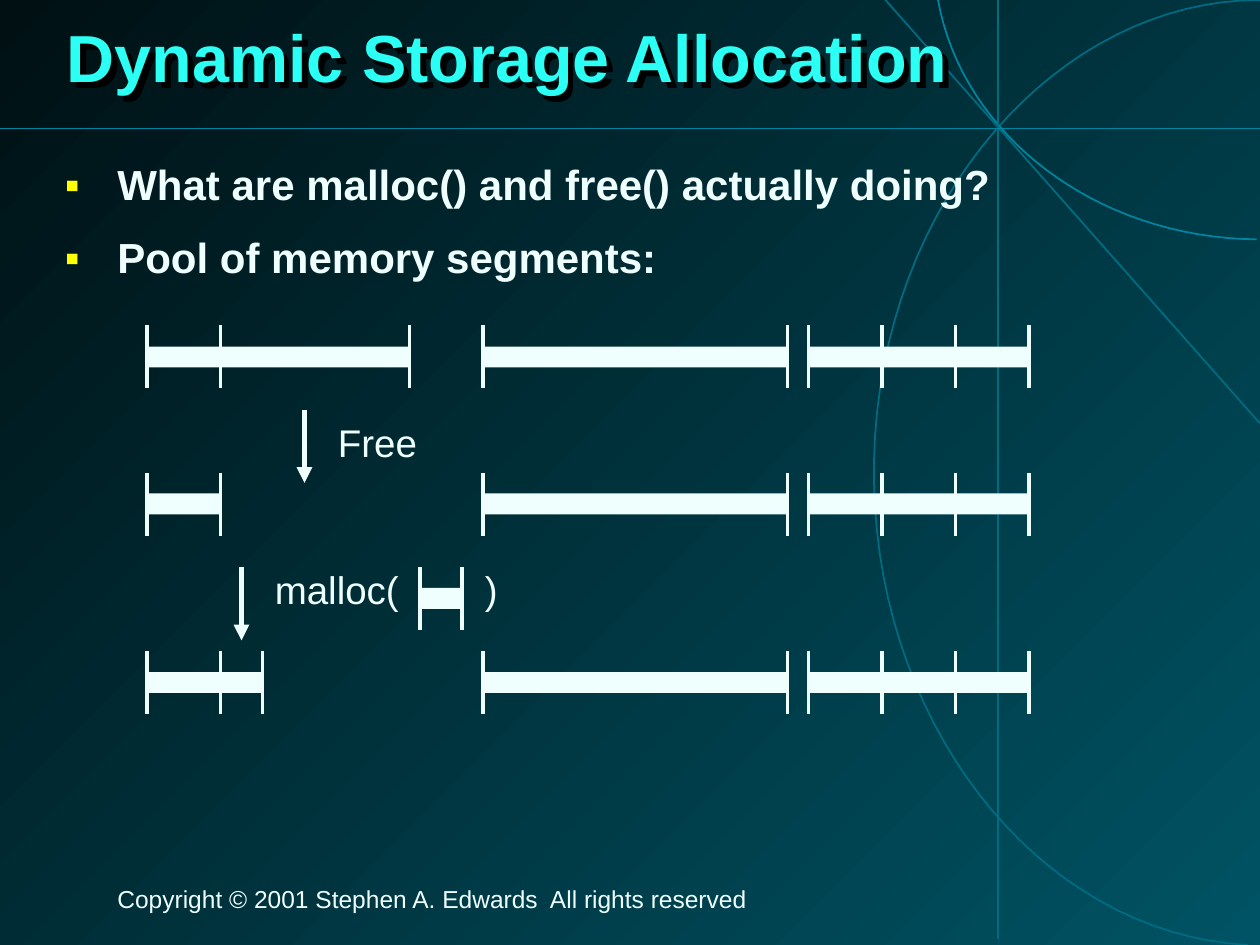
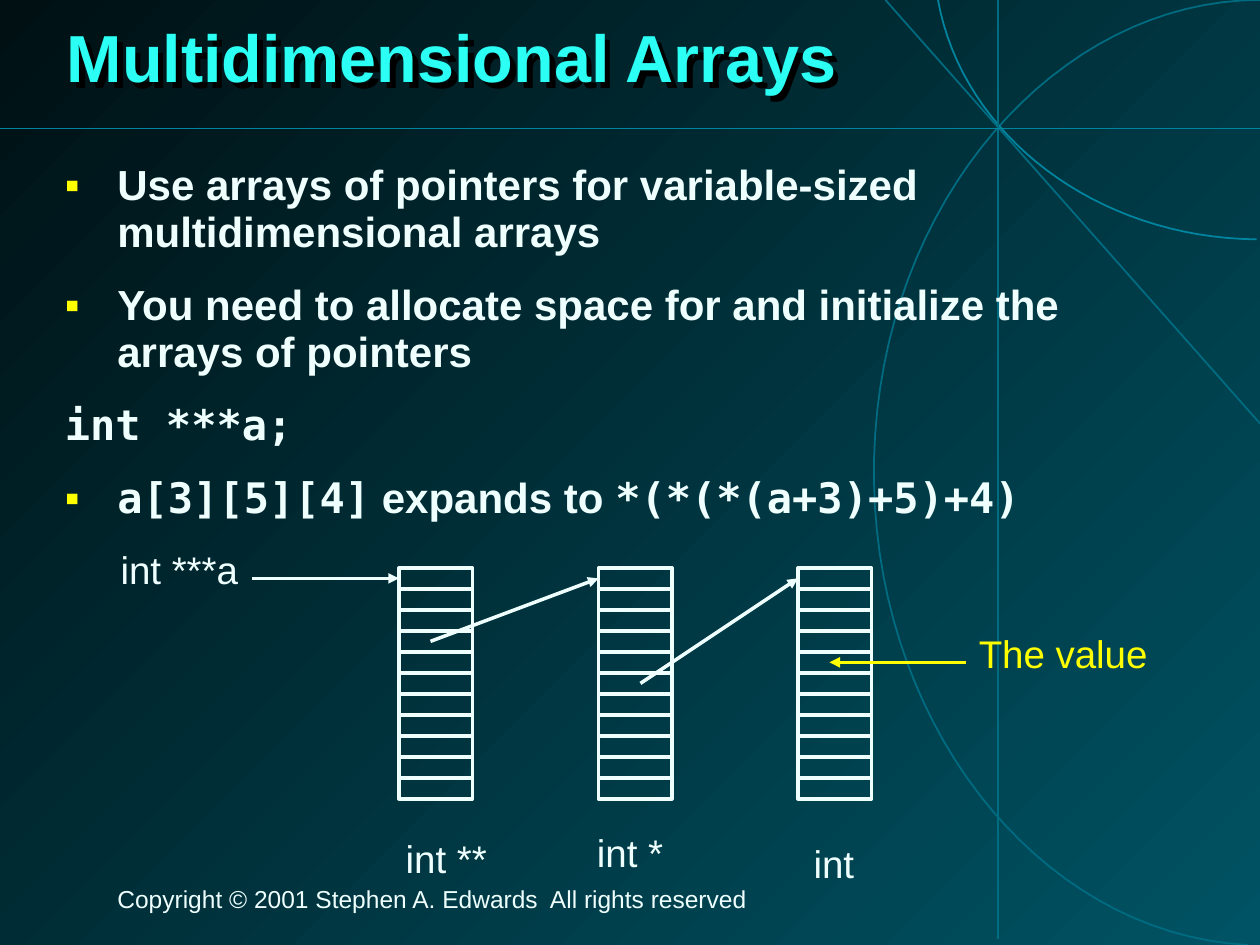
from dataclasses import dataclass
from itertools import pairwise
from typing import Iterable

from lxml.etree import SubElement
from pptx import Presentation
from pptx.dml.color import RGBColor as Rgb
from pptx.enum.shapes import MSO_CONNECTOR as Conn, MSO_SHAPE as Kind
from pptx.enum.text import MSO_ANCHOR as Anchor, MSO_AUTO_SIZE as Auto, PP_ALIGN as Align
from pptx.oxml.ns import qn
from pptx.util import Pt

COLORS = {
    "text": "EFFFFD", "title": "2CFFF3", "accent": "FFFF00", "shadow": "000000",
    "dim": "006C82", "bright": "0085A0", "near": "005364", "far": "001013",
}
SANS, MONO = "Arial", "DejaVu Sans Mono"
WIDTH, HEIGHT = 720, 540
Point = tuple[float, float]


@dataclass
class Box:
    left: float
    top: float
    width: float
    height: float

    def lengths(self) -> list[Pt]:
        return [Pt(v) for v in (self.left, self.top, self.width, self.height)]


@dataclass
class Run:
    text: str
    font: str = SANS


@dataclass
class Para:
    runs: list[Run]
    bullet: bool = True


@dataclass
class Label:
    text: str
    box: Box
    color: str = "text"


@dataclass
class Arrow:
    start: Point
    end: Point
    color: str = "text"
    weight: float = 2


@dataclass
class Curve:
    """A chain of cubic Bezier arcs: one start, then three points an arc."""
    points: list[Point]
    color: str


CURVES = [
    Curve([(713, 540), (592, 533.5), (496, 409.7), (499.5, 262),
           (503, 114.5), (604.8, 0), (720, 0)], "dim"),
    Curve([(718, 136.8), (627, 136), (550, 77.8), (536, 0)], "bright"),
]
RAYS = [
    Arrow((720, 242), (506, 0), "dim", 1),
    Arrow((570.5, 0), (570.5, 536.5), "dim", 1),
    Arrow((0, 73.5), (720, 73.5), "bright", 1),
]


def rgb(name: str) -> Rgb:
    return Rgb.from_string(COLORS[name])


def add_line(slide, line: Arrow, head: bool = False) -> None:
    ends = [Pt(v) for v in (*line.start, *line.end)]
    conn = slide.shapes.add_connector(Conn.STRAIGHT, *ends)
    conn.line.color.rgb = rgb(line.color)
    conn.line.width = Pt(line.weight)
    if head:
        SubElement(conn.line._get_or_add_ln(), qn("a:tailEnd"), type="triangle")
    SubElement(conn._element.spPr, qn("a:effectLst"))


def add_rect(slide, box: Box, filled: bool) -> None:
    rect = slide.shapes.add_shape(Kind.RECTANGLE, *box.lengths())
    rect.shadow.inherit = False
    if filled:
        rect.fill.solid()
        rect.fill.fore_color.rgb = rgb("text")
        rect.line.fill.background()
    else:
        rect.fill.background()
        rect.line.color.rgb = rgb("text")
        rect.line.width = Pt(2)


def add_curve(slide, curve: Curve, steps: int = 32) -> None:
    pts = curve.points
    path = [pts[0]]
    for i in range(0, len(pts) - 1, 3):
        arc = pts[i:i + 4]
        for k in range(1, steps + 1):
            t = k / steps
            mix = ((1 - t) ** 3, 3 * t * (1 - t) ** 2, 3 * t * t * (1 - t), t ** 3)
            path.append((sum(m * p[0] for m, p in zip(mix, arc)),
                         sum(m * p[1] for m, p in zip(mix, arc))))
    dots = [(Pt(x), Pt(y)) for x, y in path]
    form = slide.shapes.build_freeform(*dots[0])
    form.add_line_segments(dots[1:], close=False)
    shape = form.convert_to_shape()
    shape.shadow.inherit = False
    shape.fill.background()
    shape.line.color.rgb = rgb(curve.color)
    shape.line.width = Pt(1)


def add_bullet(props) -> None:
    tint = SubElement(props, qn("a:buClr"))
    SubElement(tint, qn("a:srgbClr"), val=COLORS["accent"])
    SubElement(props, qn("a:buFont"), typeface=SANS)
    SubElement(props, qn("a:buChar"), char="▪")


def add_shadow(shape) -> None:
    """Give an unfilled text box a hard shadow, which its letters cast."""
    effects = SubElement(shape._element.spPr, qn("a:effectLst"))
    drop = SubElement(effects, qn("a:outerShdw"), dist=str(Pt(4.5)), dir="2700000",
                      algn="ctr", rotWithShape="0")
    SubElement(drop, qn("a:srgbClr"), val=COLORS["shadow"])


def add_text(slide, text: str | list[Para], box: Box, *, size: float = 22,
             color: str = "text", bold: bool = False, spacing: float = 0.85,
             before: float = 13.8, align=Align.LEFT, anchor=Anchor.TOP,
             wrap: bool = True, grow: bool = True, hang: float = 0,
             shadow: bool = False) -> None:
    shape = slide.shapes.add_textbox(*box.lengths())
    if shadow:
        add_shadow(shape)
    frame = shape.text_frame
    frame.word_wrap = wrap
    frame.auto_size = Auto.SHAPE_TO_FIT_TEXT if grow else Auto.NONE
    frame.vertical_anchor = anchor
    paras = [Para([Run(text)], False)] if isinstance(text, str) else text
    for i, para in enumerate(paras):
        line = frame.add_paragraph() if i else frame.paragraphs[0]
        line.alignment = align
        line.line_spacing = spacing
        line.space_before = Pt(before)
        props = line._p.get_or_add_pPr()
        if hang:
            props.set("marL", str(Pt(hang)))
            props.set("indent", str(Pt(-hang)))
        if para.bullet:
            add_bullet(props)
        for part in para.runs:
            run = line.add_run()
            run.text = part.text
            font = run.font
            font.name, font.size, font.bold = part.font, Pt(size), bold
            font.color.rgb = rgb(color)


def add_slide(deck, title: str, body: list[Para]):
    """Add a slide with the shared background, rays, footer, title and body."""
    slide = deck.slides.add_slide(deck.slide_layouts[6])
    fill = slide.background.fill
    fill.gradient()
    fill.gradient_angle = 135
    for stop, name, place in zip(fill.gradient_stops, ("near", "far"), (0, 1)):
        stop.color.rgb = rgb(name)
        stop.position = place
    for curve in CURVES:
        add_curve(slide, curve)
    for ray in RAYS:
        add_line(slide, ray)
    add_text(slide, "Copyright © 2001 Stephen A. Edwards  All rights reserved",
             Box(60, 504, 582, 21.6), size=14, before=8.8)
    add_text(slide, title, Box(31, 0, 663, 70.5), size=38, color="title", bold=True,
             spacing=0.87, before=0, anchor=Anchor.MIDDLE, grow=False, shadow=True)
    add_text(slide, body, Box(30, 89.8, 656.6, 402.5), size=24, bold=True,
             spacing=0.93, before=15, grow=False, hang=30)
    return slide


def add_chunk(slide, top: float, edges: Iterable[float]) -> None:
    """Draw touching memory segments, with a tick at each edge."""
    edges = list(edges)
    for x in edges:
        add_line(slide, Arrow((x, top), (x, top + 36)))
    for left, right in pairwise(edges):
        add_rect(slide, Box(left, top + 12, right - left, 12), True)


def draw_pool(deck) -> None:
    slide = add_slide(deck, "Dynamic Storage Allocation", [
        Para([Run("What are malloc() and free() actually doing?")]),
        Para([Run("Pool of memory segments:")]),
    ])
    rows = {186: (84, 126, 234), 270: (84, 126), 372: (84, 126, 150)}
    for top, first in rows.items():
        for edges in (first, (276, 450), range(462, 589, 42)):
            add_chunk(slide, top, edges)
    add_chunk(slide, 324, (240, 264))
    for x, y in ((174, 234), (138, 324)):
        add_line(slide, Arrow((x, y), (x, y + 42), weight=3), head=True)
    for label in (Label("Free", Box(186, 240, 60, 29.5)),
                  Label("malloc(", Box(150, 324, 108, 29.5)),
                  Label(")", Box(270, 324, 24, 29.5))):
        add_text(slide, label.text, label.box)


def draw_arrays(deck) -> None:
    slide = add_slide(deck, "Multidimensional Arrays", [
        Para([Run("Use arrays of pointers for variable-sized multidimensional arrays")]),
        Para([Run("You need to allocate space for and initialize the arrays of pointers")]),
        Para([Run("int ***a;", MONO)], False),
        Para([Run("a[3][5][4]", MONO), Run(" expands to "),
              Run("*(*(*(a+3)+5)+4)", MONO)]),
    ])
    top, cell, count, wide = 324.5, 12, 11, 42
    lefts = [228 + 114 * i for i in range(3)]

    def mid(row: int) -> float:
        return top + cell * (row + 0.5)

    for left in lefts:
        add_rect(slide, Box(left, top, wide, cell * count), False)
        for row in range(1, count):
            y = top + cell * row
            add_line(slide, Arrow((left, y), (left + wide, y)))
    for arrow in (Arrow((144, mid(0)), (lefts[0], mid(0))),
                  Arrow((246, mid(3)), (lefts[1], mid(0))),
                  Arrow((366, mid(5)), (lefts[2], mid(0))),
                  Arrow((552, mid(4)), (474, mid(4)), "accent")):
        add_line(slide, arrow, head=True)
    for label in (Label("int ***a", Box(57.5, 312.5, 90, 29.5)),
                  Label("int **", Box(220, 477.5, 70, 29.5)),
                  Label("int *", Box(330, 474.5, 60, 29.5)),
                  Label("int", Box(451.5, 480.5, 50, 29.5)),
                  Label("The value", Box(547.5, 360.5, 120, 29.5), "accent")):
        add_text(slide, label.text, label.box, color=label.color, wrap=False,
                 align=Align.CENTER, anchor=Anchor.MIDDLE)


def main() -> None:
    deck = Presentation()
    deck.slide_width, deck.slide_height = Pt(WIDTH), Pt(HEIGHT)
    draw_pool(deck)
    draw_arrays(deck)
    deck.save("out.pptx")


if __name__ == "__main__":
    main()
